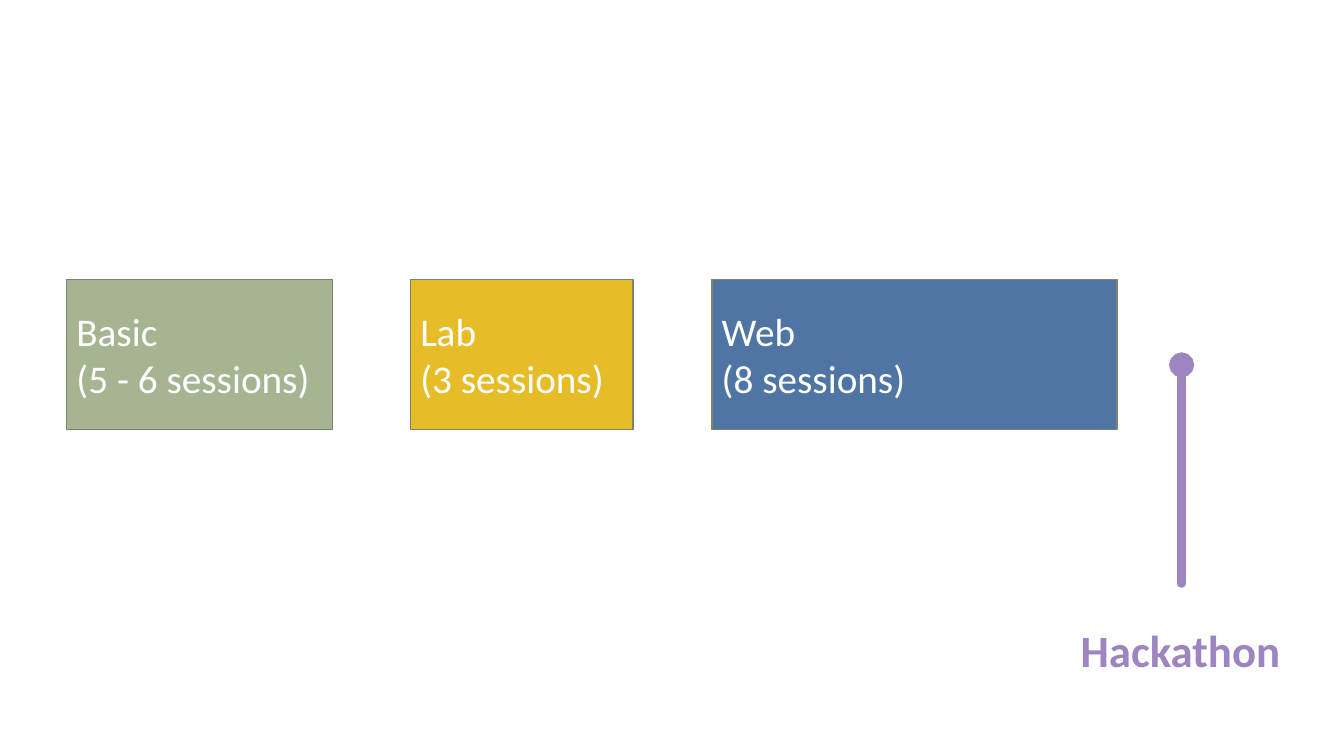
import pptx
import pptx.dml.color
import pptx.enum.shapes
import pptx.enum.text
import pptx.oxml
import pptx.oxml.ns
import pptx.util
from pptx.dml.color import RGBColor
from pptx.util import Inches

WHITE = RGBColor(0xFF, 0xFF, 0xFF)
GREEN = RGBColor(0xA5, 0xB5, 0x92)
YELLOW = RGBColor(0xE7, 0xBC, 0x29)
BLUE = RGBColor(0x4E, 0x75, 0xA3)
PURPLE = RGBColor(0x9C, 0x85, 0xC0)
OUTLINE = RGBColor(0x7A, 0x86, 0x6C)

PHASE_TOP, PHASE_HEIGHT = 2.77, 1.49
PHASES = [
    # left, width, colour, lines
    (0.66, 2.64, GREEN, ("Basic", "(5 - 6 sessions)")),
    (4.07, 2.21, YELLOW, ("Lab", "(3 sessions)")),
    (7.06, 4.02, BLUE, ("Web", "(8 sessions)")),
]


def write_lines(text_frame, lines, size, color, bold=False):
    font_format = {"name": "Calibri", "size": pptx.util.Pt(size), "bold": bold}
    for index, line in enumerate(lines):
        paragraph = text_frame.paragraphs[0] if index == 0 else text_frame.add_paragraph()
        paragraph.alignment = pptx.enum.text.PP_ALIGN.LEFT
        run = paragraph.add_run()
        run.text = line
        for name, value in font_format.items():
            setattr(run.font, name, value)
        run.font.color.rgb = color


def add_phase(slide, left, width, color, lines):
    shape = slide.shapes.add_shape(
        pptx.enum.shapes.MSO_SHAPE.RECTANGLE,
        Inches(left), Inches(PHASE_TOP), Inches(width), Inches(PHASE_HEIGHT))
    shape.shadow.inherit = False
    shape.fill.solid()
    shape.fill.fore_color.rgb = color
    shape.line.color.rgb = OUTLINE
    shape.line.width = pptx.util.Pt(1)
    shape.text_frame.word_wrap = True
    shape.text_frame.vertical_anchor = pptx.enum.text.MSO_ANCHOR.MIDDLE
    write_lines(shape.text_frame, lines, 28, WHITE)


def add_pin(shapes, x, top, bottom):
    """Draw a thick vertical line with a round cap and a dot at its top."""
    pin = shapes.add_connector(
        pptx.enum.shapes.MSO_CONNECTOR.STRAIGHT,
        Inches(x), Inches(top), Inches(x), Inches(bottom))
    pin.line.color.rgb = PURPLE
    pin.line.width = pptx.util.Pt(6)
    line = pin.line._get_or_add_ln()
    line.set("cap", "rnd")
    namespace = pptx.oxml.ns.nsdecls("a")
    line.append(pptx.oxml.parse_xml(f'<a:headEnd {namespace} type="oval"/>'))
    pin._element.spPr.append(pptx.oxml.parse_xml(f"<a:effectLst {namespace}/>"))


def add_label(shapes, left, top, width, height, text):
    label = shapes.add_textbox(Inches(left), Inches(top), Inches(width), Inches(height))
    label.text_frame.word_wrap = False
    label.text_frame.auto_size = pptx.enum.text.MSO_AUTO_SIZE.SHAPE_TO_FIT_TEXT
    write_lines(label.text_frame, [text], 32, PURPLE, bold=True)


def main():
    presentation = pptx.Presentation()
    presentation.slide_width = Inches(13.33)
    presentation.slide_height = Inches(7.5)
    slide = presentation.slides.add_slide(presentation.slide_layouts[6])
    for phase in PHASES:
        add_phase(slide, *phase)
    milestone = slide.shapes.add_group_shape()
    add_pin(milestone.shapes, 11.72, 3.62, 5.79)
    add_label(milestone.shapes, 10.62, 6.13, 2.2, 0.64, "Hackathon")
    presentation.save("out.pptx")


if __name__ == "__main__":
    main()
